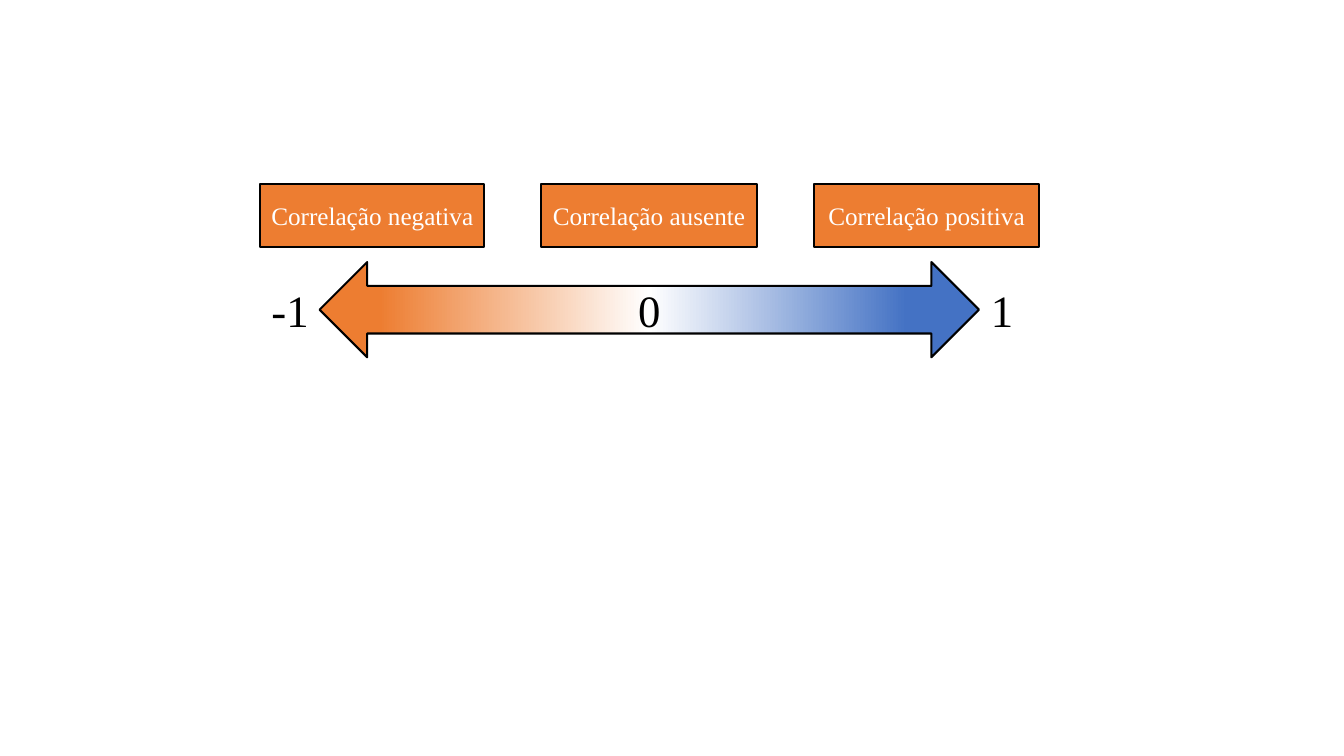
"""Build a slide showing the correlation scale from -1 to 1."""
from dataclasses import dataclass

from lxml.etree import SubElement
from pptx import Presentation
from pptx.dml.color import RGBColor as RGB
from pptx.enum.shapes import MSO_SHAPE as SHAPE
from pptx.enum.text import MSO_ANCHOR as ANCHOR, PP_ALIGN as ALIGN
from pptx.oxml.ns import qn
from pptx.util import Pt


@dataclass(frozen=True)
class Theme:
    font: str = "Times New Roman"
    orange: str = "ED7D31"
    blue: str = "4472C4"
    white: str = "FFFFFF"
    black: str = "000000"
    label_size: float = 18
    number_size: float = 32
    line_width: float = 1.5


class Diagram:
    def __init__(self, slide, theme):
        self.shapes = slide.shapes.add_group_shape().shapes
        self.theme = theme

    def set_text(self, sp, text, size, color):
        tf = sp.text_frame
        tf.text = text
        tf.word_wrap = True
        tf.vertical_anchor = ANCHOR.MIDDLE
        tf.margin_left = tf.margin_right = tf.margin_top = tf.margin_bottom = 0
        p = tf.paragraphs[0]
        p.alignment = ALIGN.CENTER
        font = p.runs[0].font
        font.name, font.size = self.theme.font, Pt(size)
        font.color.rgb = RGB.from_string(color)

    def outlined(self, kind, x, y, w, h):
        sp = self.shapes.add_shape(kind, Pt(x), Pt(y), Pt(w), Pt(h))
        sp.shadow.inherit = False
        sp.line.color.rgb = RGB.from_string(self.theme.black)
        sp.line.width = Pt(self.theme.line_width)
        return sp

    def gradient_arrow(self, x, y, w, h, stops):
        sp = self.outlined(SHAPE.LEFT_RIGHT_ARROW, x, y, w, h)
        sp.fill.gradient()
        sp.fill.gradient_angle = 180
        stop_list = sp._element.spPr.find(qn("a:gradFill")).find(qn("a:gsLst"))
        stop_list.clear()
        for percent, color in stops:
            gs = SubElement(stop_list, qn("a:gs"), pos=str(percent * 1000))
            SubElement(gs, qn("a:srgbClr"), val=color)

    def box(self, x, y, w, h, text):
        sp = self.outlined(SHAPE.RECTANGLE, x, y, w, h)
        sp.fill.solid()
        sp.fill.fore_color.rgb = RGB.from_string(self.theme.orange)
        self.set_text(sp, text, self.theme.label_size, self.theme.white)

    def number(self, x, y, w, h, text):
        sp = self.shapes.add_textbox(Pt(x), Pt(y), Pt(w), Pt(h))
        self.set_text(sp, text, self.theme.number_size, self.theme.black)


def main():
    prs = Presentation()
    prs.slide_width, prs.slide_height = Pt(960), Pt(540)
    theme = Theme()
    diagram = Diagram(prs.slides.add_slide(prs.slide_layouts[6]), theme)

    left, top, width, height = 228.3, 187.2, 471, 68
    diagram.gradient_arrow(left, top, width, height, [
        (0, theme.blue), (11, theme.blue), (50, theme.white),
        (91, theme.orange), (100, theme.orange)])

    for x, w, text in [(186, 160, "Correlação negativa"),
                       (386.6, 154, "Correlação ausente"),
                       (581.6, 160.6, "Correlação positiva")]:
        diagram.box(x, 131.6, w, 44.8, text)

    number_h = 30
    number_y = top + (height - number_h) / 2
    for x, w, text in [(left - 42, 42, "-1"),
                       (left + (width - 33) / 2, 33, "0"),
                       (left + width, 33, "1")]:
        diagram.number(x, number_y, w, number_h, text)

    prs.save("out.pptx")


main()
